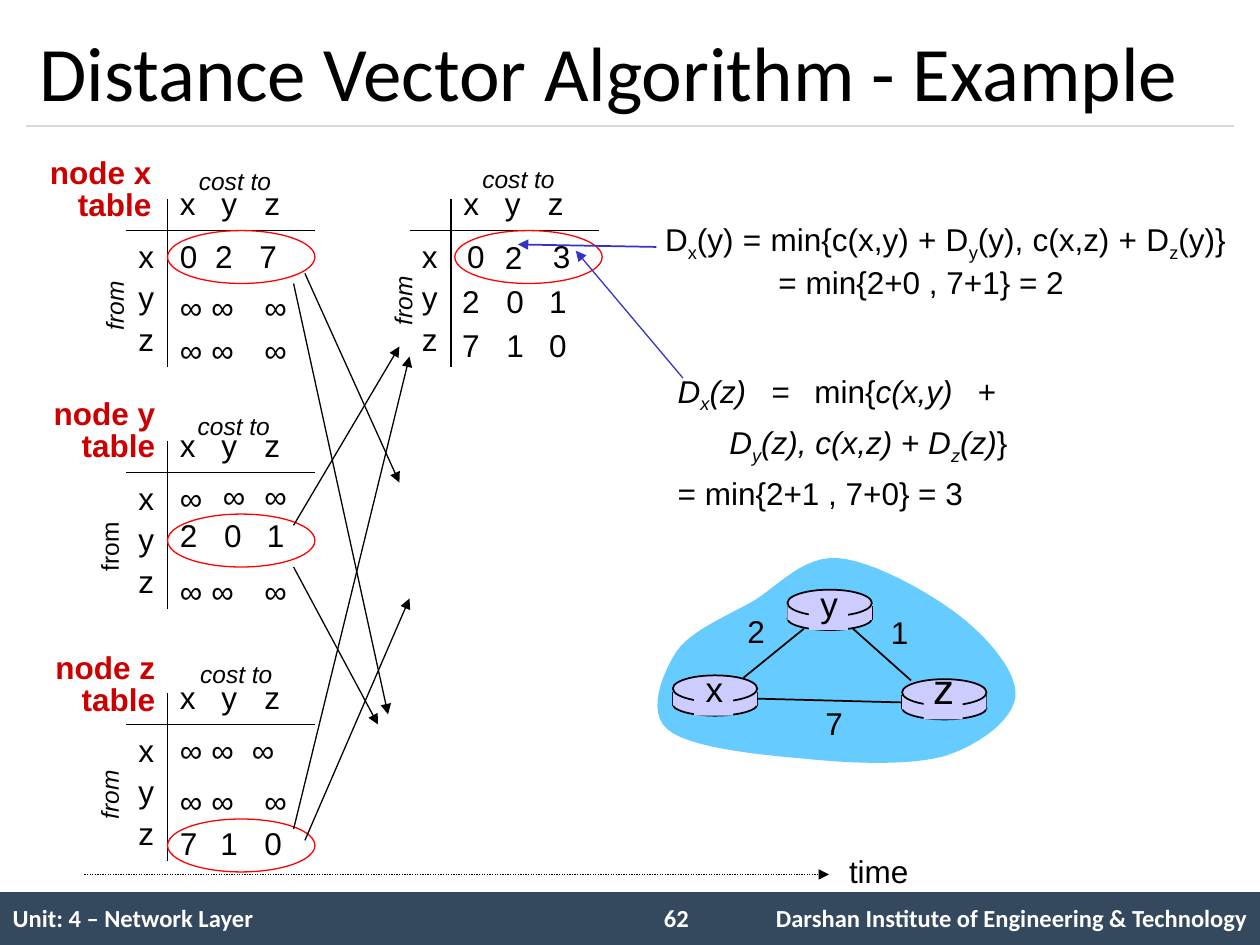
from dataclasses import dataclass

from lxml import etree
from pptx import Presentation
from pptx.dml.color import RGBColor
from pptx.enum.dml import MSO_LINE
from pptx.enum.shapes import MSO_CONNECTOR, MSO_SHAPE
from pptx.enum.text import MSO_ANCHOR, MSO_AUTO_SIZE, PP_ALIGN
from pptx.oxml.ns import qn
from pptx.util import Inches, Pt

LEFT, CENTER, RIGHT, JUSTIFY = PP_ALIGN.LEFT, PP_ALIGN.CENTER, PP_ALIGN.RIGHT, PP_ALIGN.JUSTIFY
MIDDLE, TOP = MSO_ANCHOR.MIDDLE, MSO_ANCHOR.TOP
FIT_SHAPE = MSO_AUTO_SIZE.SHAPE_TO_FIT_TEXT
OVAL, RECTANGLE = MSO_SHAPE.OVAL, MSO_SHAPE.RECTANGLE
STRAIGHT, DOTTED = MSO_CONNECTOR.STRAIGHT, MSO_LINE.ROUND_DOT
BLACK, WHITE, RED, NODE_RED = "000000", "FFFFFF", "FF0000", "CC0000"
BLUE, ROUTER_FILL, CLOUD_FILL, BAR_FILL, RULE = "3333CC", "CCCCFF", "66CCFF", "34495E", "D9D9D9"
NO_GRID_STYLE = "{2D5ABB26-0587-4C30-8999-92F81FD0307C}"


@dataclass
class Run:
    text: str
    subscript: bool = False
    italic: bool = False


@dataclass
class CostTable:
    left: float
    top: float
    cost_at: tuple
    from_at: tuple
    from_italic: bool = True
    node: str = ""
    node_at: tuple = ()


@dataclass
class Values:
    """A tabbed row of distances."""
    text: str
    left: float
    top: float
    stops: tuple


@dataclass
class Router:
    name: str
    left: float
    top: float
    size: int = 20
    label_rise: float = 0.11


LETTER_STOPS, DIGIT_STOPS = (0.33, 0.67), (0.35, 0.69)
COST_TABLES = [
    CostTable(1, 1.58, (1.48, 1.27), (0.61, 2.26), True, "node x", (0.29, 1.21)),
    CostTable(1, 3.5, (1.47, 3.21), (0.57, 4.17), False, "node y", (0.32, 3.12)),
    CostTable(1, 5.5, (1.49, 5.18), (0.57, 6.14), True, "node z", (0.32, 5.14)),
    CostTable(3.25, 1.58, (3.73, 1.25), (2.9, 2.22)),
]
VALUE_ROWS = [
    Values("0\t2\t7", 1.33, 1.83, (0.28, 0.63)),
    Values("∞\n2\t0\t1", 1.33, 3.75, DIGIT_STOPS),
    Values("∞\t∞\t∞", 1.33, 5.75, (0.25, 0.57)),
    Values("2\t0\t1", 3.57, 2.19, DIGIT_STOPS),
    Values("7\t1\t0", 3.57, 2.54, DIGIT_STOPS),
]
INFINITE_ROWS = [(top, (1.33, 1.58, 2)) for top in (2.24, 2.58, 4.49, 6.16)] + [(3.74, (1.67, 2))]
SINGLE_VALUES = [("7", 1.33, 6.49), ("1", 1.65, 6.49), ("0", 2, 6.49),
                 ("0", 3.61, 1.83), ("3", 4.29, 1.83), ("2", 3.91, 1.84)]
EXCHANGES = [((2.42, 2.17), (3.17, 3.83)), ((2.33, 2.25), (3.08, 5.67)),
             ((2.33, 4.17), (3.17, 2.75)), ((2.33, 4.5), (3, 5.75)),
             ((2.33, 6.58), (3.25, 2.83)), ((2.42, 6.67), (3.25, 4.75))]
ROUTERS = [Router("x", 5.34, 5.36), Router("z", 7.16, 5.39, 24, 0.18), Router("y", 6.25, 4.68)]
LINK_COSTS = [("1", 6.93, 4.82), ("2", 5.79, 4.81), ("7", 6.41, 5.54)]
CLOUD_START = (5.37, 5.17)
CLOUD_CURVES = [((5.49, 5), (5.77, 4.89), (5.98, 4.77)), ((6.19, 4.64), (6.38, 4.41), (6.65, 4.43)),
                ((6.93, 4.45), (7.39, 4.71), (7.62, 4.89)), ((7.85, 5.07), (8.08, 5.34), (8.06, 5.53)),
                ((8.04, 5.71), (7.78, 5.91), (7.5, 6)), ((7.22, 6.08), (6.74, 6.06), (6.37, 6.02)),
                ((6, 5.99), (5.46, 5.93), (5.3, 5.79)), ((5.13, 5.65), (5.26, 5.34), CLOUD_START)]
COST_OF_Y = [[Run("D"), Run("x", True), Run("(y) = min{c(x,y) + D"), Run("y", True),
              Run("(y), c(x,z) + D"), Run("z", True), Run("(y)} "), Run("\n"),
              Run("= min{2+0 , 7+1} = 2")]]
COST_OF_Z = [[Run("D", italic=True), Run("x", True, True), Run("(z) = ", italic=True), Run("min{"),
              Run("c(x,y) + ", italic=True), Run("\n"), Run("D", italic=True), Run("y", True, True),
              Run("(z), c(x,z) + D", italic=True), Run("z", True, True), Run("(z)", italic=True), Run("}")],
             [Run("= min{2+1 , 7+0} = 3")]]


def rgb(color: str) -> RGBColor:
    return RGBColor.from_string(color)


def style_run(run, size, color=BLACK, font="Arial", bold=False, italic=False):
    run.font.name, run.font.size = font, Pt(size)
    run.font.bold, run.font.italic = bold, italic
    run.font.color.rgb = rgb(color)


def add_text(slide, paragraphs, left, top, width, height=0.4, size=18, color=BLACK, font="Arial",
             bold=False, align=LEFT, anchor=TOP, spacing=None, stops=(), hanging=0.0, wrap=False):
    box = slide.shapes.add_textbox(Inches(left), Inches(top), Inches(width), Inches(height))
    frame = box.text_frame
    frame.word_wrap, frame.auto_size, frame.vertical_anchor = wrap, FIT_SHAPE, anchor
    for index, runs in enumerate(paragraphs):
        paragraph = frame.add_paragraph() if index else frame.paragraphs[0]
        paragraph.alignment = align
        properties = paragraph._p.get_or_add_pPr()
        if stops:
            tabs = etree.SubElement(properties, qn("a:tabLst"))
            for stop in stops:
                etree.SubElement(tabs, qn("a:tab"), pos=str(Inches(stop)), algn="l")
        if hanging:
            properties.set("marL", str(Inches(hanging)))
            properties.set("indent", str(-Inches(hanging)))
        if spacing:
            paragraph.line_spacing = spacing
        for part in runs:
            if part.text == "\n":
                paragraph.add_line_break()
                continue
            run = paragraph.add_run()
            run.text = part.text
            style_run(run, size, color, font, bold, part.italic)
            if part.subscript:
                run._r.get_or_add_rPr().set("baseline", "-25000")
    return box


def add_line(slide, start, end, color=BLACK, weight=0.75, arrow=False, dash=None):
    line = slide.shapes.add_connector(STRAIGHT, *(Inches(value) for value in (*start, *end)))
    line.line.color.rgb, line.line.width = rgb(color), Pt(weight)
    if dash:
        line.line.dash_style = dash
    properties = line.element.spPr
    if arrow:
        etree.SubElement(properties.find(qn("a:ln")), qn("a:tailEnd"), type="triangle")
    etree.SubElement(properties, qn("a:effectLst"))
    return line


def paint(shape, fill=None, line=None, weight=1.0):
    shape.shadow.inherit = False
    if fill:
        shape.fill.solid()
        shape.fill.fore_color.rgb = rgb(fill)
    else:
        shape.fill.background()
    if line:
        shape.line.color.rgb, shape.line.width = rgb(line), Pt(weight)
    else:
        shape.line.fill.background()


def add_shape(slide, kind, left, top, width, height, fill=None, line=None, weight=1.0):
    shape = slide.shapes.add_shape(kind, Inches(left), Inches(top), Inches(width), Inches(height))
    paint(shape, fill, line, weight)
    return shape


def add_footer(slide):
    add_shape(slide, RECTANGLE, 0, 7.08, 10, 0.42, BAR_FILL)
    frame = slide.shapes.add_table(1, 3, 0, Inches(7.08), Inches(10), Inches(0.43))
    frame.element.find(".//" + qn("a:tableStyleId")).text = NO_GRID_STYLE
    table = frame.table
    table.first_row = table.horz_banding = False
    texts = ("Unit: 4 – Network Layer", "", "Darshan Institute of Engineering & Technology")
    for index, (text, width, align) in enumerate(zip(texts, (5.08, 0.67, 4.25), (LEFT, LEFT, RIGHT))):
        table.columns[index].width = Inches(width)
        cell = table.cell(0, index)
        cell.fill.background()
        cell.vertical_anchor = MIDDLE
        if text:
            paragraph = cell.text_frame.paragraphs[0]
            paragraph.alignment = align
            run = paragraph.add_run()
            run.text = text
            style_run(run, 14, WHITE, "Calibri", bold=True)
    add_text(slide, [[Run("62")]], 5.17, 7.12, 0.58, 0.34, 14, WHITE, "Calibri", True, wrap=True)


def add_cost_table(slide, table: CostTable):
    axis, rule = table.left + 0.33, table.top + 0.25
    add_line(slide, (axis, table.top), (axis, table.top + 1.33))
    add_line(slide, (table.left, rule), (table.left + 1.5, rule))
    add_text(slide, [[Run("x\ty\tz")]], axis, table.top - 0.17, 1.1, stops=LETTER_STOPS, wrap=True)
    for index, name in enumerate("xyz"):
        add_text(slide, [[Run(name)]], table.left, rule + index * 0.33, 0.33)
    add_text(slide, [[Run("cost to", italic=True)]], *table.cost_at, 0.9, 0.33, 14, wrap=True)
    add_text(slide, [[Run("from", italic=table.from_italic)]], *table.from_at, 0.59, 0.33, 14).rotation = 270
    if table.node:
        add_text(slide, [[Run(table.node)], [Run("table")]], *table.node_at, 1.01, 0.61,
                 color=NODE_RED, bold=True, align=RIGHT, spacing=0.85)


def add_router(slide, router: Router):
    left, top, side = router.left, router.top, router.top + 0.13
    add_shape(slide, OVAL, left, top + 0.14, 0.67, 0.18, ROUTER_FILL, BLACK)
    for edge in (left, left + 0.67):
        add_line(slide, (edge, side), (edge, side + 0.11), weight=1)
    body = add_shape(slide, RECTANGLE, left, side, 0.67, 0.11, ROUTER_FILL)
    add_shape(slide, OVAL, left, top, 0.67, 0.21, ROUTER_FILL, BLACK)
    add_shape(slide, RECTANGLE, left + 0.17, top + 0.03, 0.31, 0.29, ROUTER_FILL)
    add_text(slide, [[Run(router.name)]], left + 0.12, top - router.label_rise, 0.42, 0.55,
             router.size, align=CENTER)
    return body


def add_cloud(slide, steps=12):
    points, start = [], CLOUD_START
    for first, second, end in CLOUD_CURVES:
        for step in range(1, steps + 1):
            t = step / steps
            weights = ((1 - t) ** 3, 3 * t * (1 - t) ** 2, 3 * t * t * (1 - t), t ** 3)
            points.append(tuple(Inches(sum(w * point[axis] for w, point in
                                           zip(weights, (start, first, second, end)))) for axis in (0, 1)))
        start = end
    builder = slide.shapes.build_freeform(*points[-1])
    builder.add_line_segments(points[:-1], close=True)
    paint(builder.convert_to_shape(), CLOUD_FILL)


def main():
    presentation = Presentation()
    presentation.slide_width, presentation.slide_height = Inches(10), Inches(7.5)
    slide = presentation.slides.add_slide(presentation.slide_layouts[5])

    # Footer, title and rule
    add_footer(slide)
    add_line(slide, (0.21, 1), (9.79, 1), RULE)
    title = slide.shapes.title
    title.left, title.top, title.width, title.height = (Inches(value) for value in (0.21, 0.12, 9.58, 0.88))
    title.text_frame.vertical_anchor = MIDDLE
    paragraph = title.text_frame.paragraphs[0]
    paragraph.alignment = LEFT
    run = paragraph.add_run()
    run.text = "Distance Vector Algorithm - Example"
    style_run(run, 44, font="Calibri")

    # Cost tables and their values
    for table in COST_TABLES:
        add_cost_table(slide, table)
    for row in VALUE_ROWS:
        add_text(slide, [[Run(line)] for line in row.text.split("\n")], row.left, row.top, 1.1,
                 stops=row.stops, wrap=True)
    for top, lefts in INFINITE_ROWS:
        for left in lefts:
            add_text(slide, [[Run("∞")]], left, top, 0.38)
    for text, left, top in SINGLE_VALUES:
        add_text(slide, [[Run(text)]], left, top, 0.34)
    for left, top in ((1.33, 1.83), (1.33, 4.08), (1.33, 6.5), (3.61, 1.83)):
        add_shape(slide, OVAL, left, top, 1.17, 0.42, line=RED, weight=0.75)

    # Vector exchanges and time axis
    for start, end in EXCHANGES:
        add_line(slide, start, end, arrow=True)
    add_line(slide, (0.67, 6.94), (6.58, 6.94), arrow=True, dash=DOTTED)
    add_text(slide, [[Run("time")]], 6.64, 6.71, 0.67)

    # Network of three routers
    add_cloud(slide)
    add_line(slide, (5.9, 5.38), (6.38, 4.99), weight=1)
    add_line(slide, (6.77, 4.99), (7.23, 5.4), weight=1)
    bodies = {router.name: add_router(slide, router) for router in ROUTERS}
    link = add_line(slide, (6.01, 5.55), (7.16, 5.57), weight=1)
    link.begin_connect(bodies["x"], 3)
    link.end_connect(bodies["z"], 1)
    for cost, left, top in LINK_COSTS:
        add_text(slide, [[Run(cost)]], left, top, 0.42, 0.5, align=CENTER)

    # Formulas and their pointers
    add_text(slide, COST_OF_Y, 5.18, 1.72, 4.72, 0.7, align=JUSTIFY, anchor=MIDDLE, hanging=0.9, wrap=True)
    add_line(slide, (5.21, 1.96), (4.11, 1.94), BLUE, 1, arrow=True)
    add_text(slide, COST_OF_Z, 5.28, 2.88, 2.92, 1.18, align=JUSTIFY, anchor=MIDDLE, spacing=1.2,
             hanging=0.41, wrap=True)
    add_line(slide, (5.42, 3), (4.57, 1.99), BLUE, arrow=True)

    presentation.save("out.pptx")


if __name__ == "__main__":
    main()
